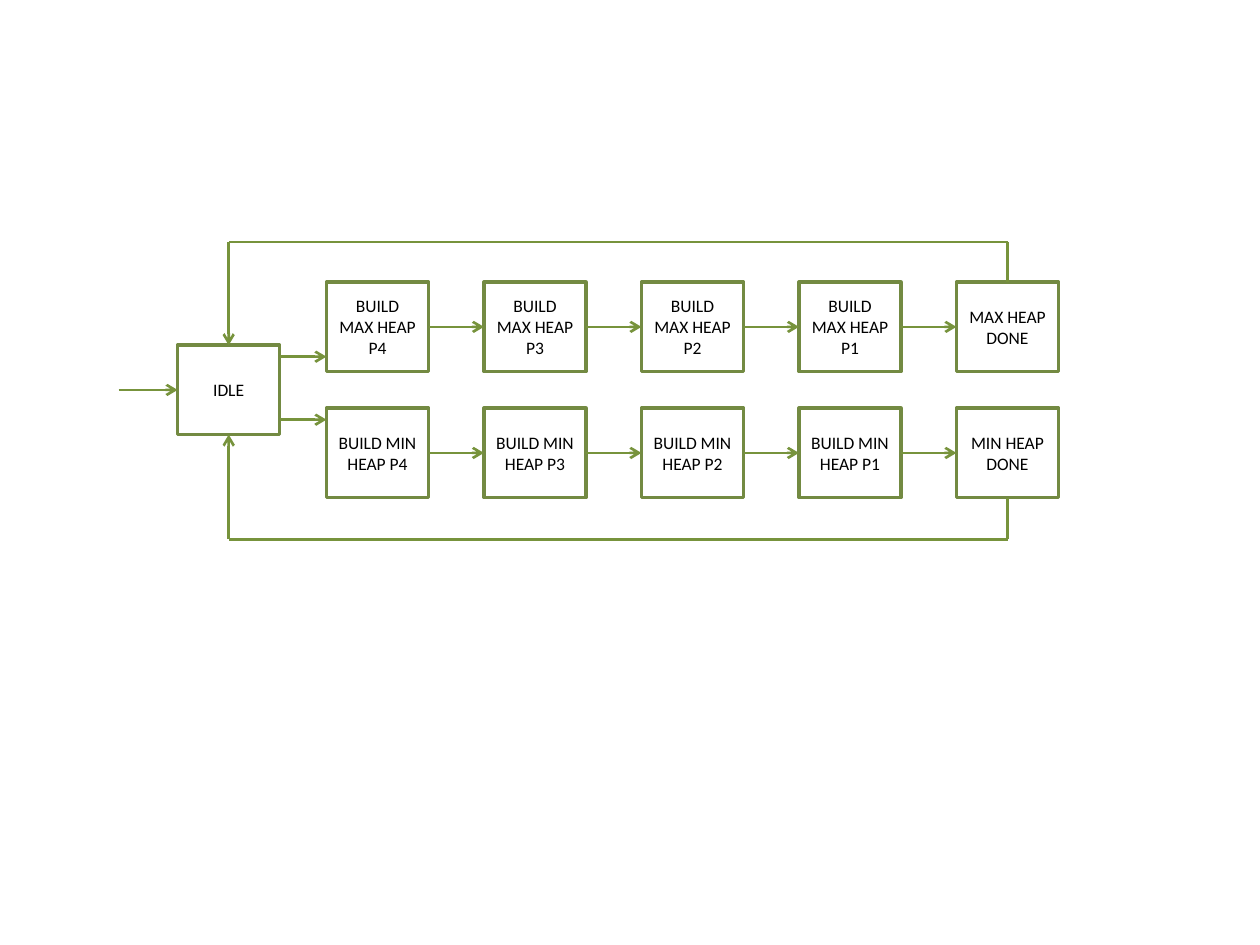
from lxml import etree
from pptx import Presentation
from pptx.dml.color import RGBColor
from pptx.enum import shapes, text
from pptx.oxml import ns
from pptx.util import Cm, Pt

BOX_W, BOX_H = 2.06, 1.8
TOP, LEFT, BOTTOM, RIGHT = range(4)


def colour(value):
    return RGBColor.from_string(value)


def add_state(slide, x, y, label):
    state = slide.shapes.add_shape(
        shapes.MSO_SHAPE.RECTANGLE, Cm(x), Cm(y), Cm(BOX_W), Cm(BOX_H))
    state.shadow.inherit = False
    state.fill.background()
    state.line.color.rgb = colour("738A42")
    state.line.width = Pt(2)
    frame = state.text_frame
    frame.word_wrap = True
    frame.margin_left = frame.margin_right = Cm(0.22)
    frame.vertical_anchor = text.MSO_ANCHOR.MIDDLE
    frame.text = label
    paragraph = frame.paragraphs[0]
    paragraph.alignment = text.PP_ALIGN.CENTER
    font = paragraph.runs[0].font
    font.name = "Calibri"
    font.size = Pt(10)
    font.color.rgb = colour("000000")
    return state


def add_line(slide, start, end, source=None, target=None, arrow=True):
    line = slide.shapes.add_connector(
        shapes.MSO_CONNECTOR.STRAIGHT, *(Cm(v) for v in (*start, *end)))
    line.line.color.rgb = colour("77933C")
    line.line.width = Pt(1.5)
    if arrow:
        etree.SubElement(line.line._get_or_add_ln(), ns.qn("a:tailEnd"), type="arrow")
    etree.SubElement(line._element.spPr, ns.qn("a:effectLst"))
    if source:
        line.begin_connect(*source)
    if target:
        line.end_connect(*target)


def add_idle(slide, x, y):
    idle = add_state(slide, x, y, "IDLE")
    middle = y + BOX_H / 2
    add_line(slide, (x - 1.19, middle), (x, middle), target=(idle, LEFT))
    return idle


def add_heap_row(slide, x, y, width, kind):
    labels = [f"BUILD {kind} HEAP P{n}" for n in (4, 3, 2, 1)] + [f"{kind} HEAP DONE"]
    step = (width - BOX_W) / (len(labels) - 1)
    states = [add_state(slide, x + i * step, y, label) for i, label in enumerate(labels)]
    middle = y + BOX_H / 2
    for i, (before, after) in enumerate(zip(states, states[1:])):
        left = x + i * step
        add_line(slide, (left + BOX_W, middle), (left + step, middle),
                 (before, RIGHT), (after, LEFT))
    return states[-1]


def add_return(slide, idle, done, idle_point, done_point, lane, side):
    idle_corner = (idle_point[0], lane)
    done_corner = (done_point[0], lane)
    add_line(slide, done_point, done_corner, source=(done, side), arrow=False)
    add_line(slide, done_corner, idle_corner, arrow=False)
    add_line(slide, idle_corner, idle_point, target=(idle, side))


def add_state_machine(slide, x, y, width):
    row_x, row_width = x + 3, width - 3
    idle_y = y + 2.08
    idle = add_idle(slide, x, idle_y)
    idle_centre = x + BOX_W / 2
    done_centre = x + width - BOX_W / 2
    rows = (
        ("MAX", y + 0.81, 1.5, y, TOP, 0),
        ("MIN", y + 3.35, 0.23, y + 5.99, BOTTOM, BOX_H),
    )
    for kind, row_y, entry, lane, side, edge in rows:
        done = add_heap_row(slide, row_x, row_y, row_width, kind)
        add_line(slide, (x + BOX_W, row_y + entry), (row_x, row_y + entry))
        add_return(slide, idle, done, (idle_centre, idle_y + edge),
                   (done_centre, row_y + edge), lane, side)


def main():
    deck = Presentation()
    deck.slide_width, deck.slide_height = Cm(25.4), Cm(19.05)
    slide = deck.slides.add_slide(deck.slide_layouts[6])
    add_state_machine(slide, 3.58, 4.88, 17.76)
    deck.save("out.pptx")


if __name__ == "__main__":
    main()
